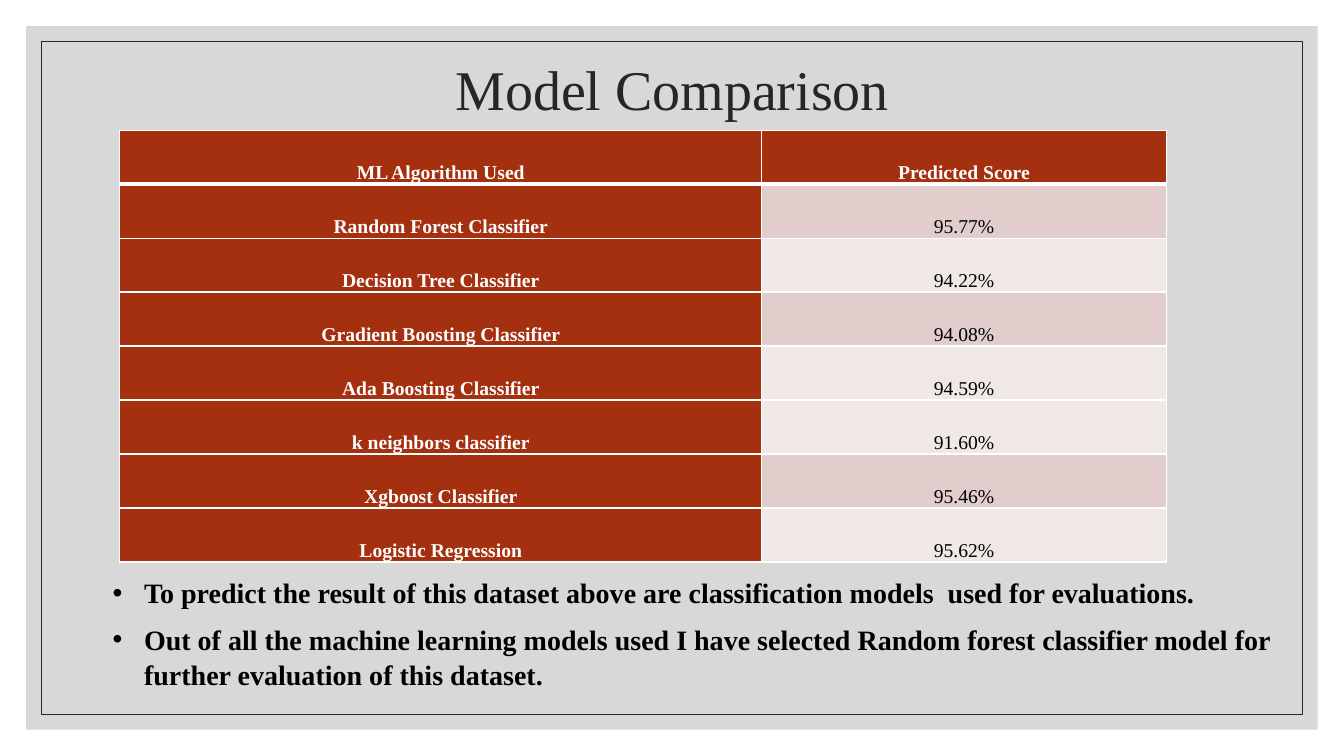
import pptx
import pptx.util
import pptx.dml.color
import pptx.enum.shapes
import pptx.enum.text
import pptx.oxml
import pptx.oxml.ns

Cm = pptx.util.Cm
Pt = pptx.util.Pt
RGBColor = pptx.dml.color.RGBColor
ALIGN = pptx.enum.text.PP_ALIGN
ANCHOR = pptx.enum.text.MSO_ANCHOR
RECT = pptx.enum.shapes.MSO_SHAPE.RECTANGLE

TITLE = "Model Comparison"
HEADER = ("ML Algorithm Used", "Predicted Score")
SCORES = [
    ("Random Forest Classifier", "95.77%"),
    ("Decision Tree Classifier", "94.22%"),
    ("Gradient Boosting Classifier", "94.08%"),
    ("Ada Boosting Classifier", "94.59%"),
    ("k neighbors classifier", "91.60%"),
    ("Xgboost Classifier", "95.46%"),
    ("Logistic Regression", "95.62%"),
]
DARK_ROWS = {1, 3, 6}
BULLETS = [
    "To predict the result of this dataset above are classification models  used for evaluations.",
    "Out of all the machine learning models used I have selected Random forest classifier model for "
    "further evaluation of this dataset.",
]

FONT = "Times New Roman"
WHITE = RGBColor(0xFF, 0xFF, 0xFF)
BLACK = RGBColor(0, 0, 0)
INK = RGBColor(0x26, 0x26, 0x26)
PANEL = RGBColor(0xBF, 0xBF, 0xBF)
RUST = RGBColor(0xA5, 0x30, 0x10)
ROSE = RGBColor(0xE1, 0xCD, 0xCC)
PALE = RGBColor(0xF0, 0xE8, 0xE7)

SLIDE_W, SLIDE_H = Cm(33.87), Cm(19.05)
PANEL_GAP, FRAME_GAP = Cm(0.66), Cm(1.04)
COLS = (Cm(16.18), Cm(10.19))
ROW_H = Cm(1.36)

TITLE_PARA = {"alignment": ALIGN.CENTER, "line_spacing": 0.9}
CELL_PARA = {"alignment": ALIGN.CENTER, "line_spacing": 1.5, "space_after": Pt(8)}
BULLET_PARA = {"line_spacing": 1.06, "space_after": Pt(8)}
CELL_FORMAT = {
    "vertical_anchor": ANCHOR.BOTTOM,
    "margin_left": Cm(0.18), "margin_right": Cm(0.18),
    "margin_top": 0, "margin_bottom": 0,
}


def apply(obj, formats):
    for name, value in formats.items():
        setattr(obj, name, value)


def write(p, text, para, size, color, bold):
    apply(p, para)
    r = p.add_run()
    r.text = text
    apply(r.font, {"name": FONT, "size": Pt(size), "bold": bold})
    r.font.color.rgb = color


def inset_rect(s, gap):
    sp = s.shapes.add_shape(RECT, gap, gap, SLIDE_W - 2 * gap, SLIDE_H - 2 * gap)
    sp.shadow.inherit = False
    return sp


def text_box(s, *box):
    tf = s.shapes.add_textbox(*box).text_frame
    tf.word_wrap = True
    return tf


def set_borders(cell, widths):
    tcPr = cell._tc.get_or_add_tcPr()
    for i, (side, width) in enumerate(widths.items()):
        tcPr.insert(i, pptx.oxml.parse_xml(
            f'<a:ln{side} {pptx.oxml.ns.nsdecls("a")} w="{Pt(width)}">'
            f'<a:solidFill><a:srgbClr val="{WHITE}"/></a:solidFill></a:ln{side}>'))


def add_frame(s):
    sp = inset_rect(s, PANEL_GAP)
    sp.fill.solid()
    sp.fill.fore_color.rgb = PANEL
    color = sp.fill._xPr.find(".//" + pptx.oxml.ns.qn("a:srgbClr"))
    color.append(pptx.oxml.parse_xml(
        f'<a:alpha {pptx.oxml.ns.nsdecls("a")} val="60000"/>'))
    sp.line.fill.background()

    sp = inset_rect(s, FRAME_GAP)
    sp.fill.background()
    sp.line.color.rgb = INK
    sp.line.width = Pt(0.5)


def add_scores(s):
    rows = [HEADER] + SCORES
    table = s.shapes.add_table(len(rows), len(COLS), Cm(3.02), Cm(3.28),
                               sum(COLS), ROW_H * len(rows)).table
    for col, width in zip(table.columns, COLS):
        col.width = width
    for i, row in enumerate(rows):
        table.rows[i].height = ROW_H
        for j, text in enumerate(row):
            cell = table.cell(i, j)
            label = i == 0 or j == 0
            apply(cell, CELL_FORMAT)
            cell.fill.solid()
            cell.fill.fore_color.rgb = RUST if label else ROSE if i in DARK_ROWS else PALE
            set_borders(cell, {"L": 1, "R": 1, "T": 3 if i == 1 else 1, "B": 3 if i == 0 else 1})
            write(cell.text_frame.paragraphs[0], text, CELL_PARA, 14,
                  WHITE if label else BLACK, label)


def add_bullets(s):
    tf = text_box(s, Cm(1.32), Cm(14.33), Cm(31.17), Cm(3.1))
    for i, text in enumerate(BULLETS):
        p = tf.add_paragraph() if i else tf.paragraphs[0]
        write(p, text, BULLET_PARA, 20, BLACK, True)
        pPr = p._p.get_or_add_pPr()
        pPr.set("marL", str(Cm(2.06)))
        pPr.set("indent", str(-Cm(0.79)))
        for tag, name, value in (("buFont", "typeface", "Arial"), ("buChar", "char", "•")):
            pPr.append(pptx.oxml.parse_xml(
                f'<a:{tag} {pptx.oxml.ns.nsdecls("a")} {name}="{value}"/>'))


def main():
    prs = pptx.Presentation()
    prs.slide_width, prs.slide_height = SLIDE_W, SLIDE_H
    s = prs.slides.add_slide(prs.slide_layouts[6])
    add_frame(s)
    tf = text_box(s, Cm(2.97), Cm(1.27), Cm(27.94), Cm(2.11))
    tf.vertical_anchor = ANCHOR.MIDDLE
    write(tf.paragraphs[0], TITLE, TITLE_PARA, 40, INK, False)
    add_scores(s)
    add_bullets(s)
    prs.save("out.pptx")


if __name__ == "__main__":
    main()
